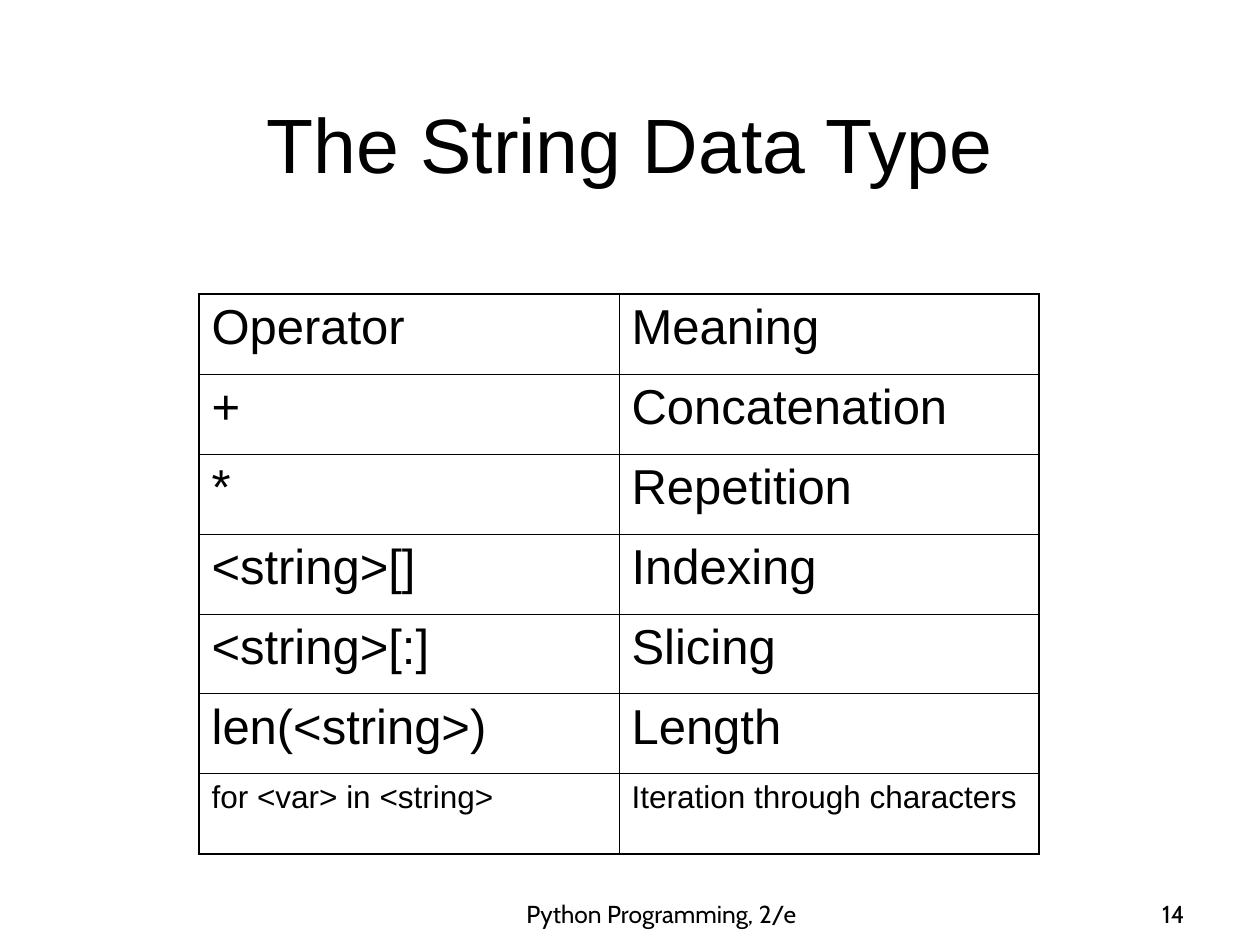
from typing import NamedTuple

from lxml.etree import SubElement
from pptx import Presentation
from pptx.dml.color import RGBColor
from pptx.enum.text import MSO_ANCHOR as Anchor, PP_ALIGN as Align
from pptx.oxml.ns import qn
from pptx.util import Emu, Pt

EMU_PER_PX = 914400 / 126
BLACK = RGBColor(0x00, 0x00, 0x00)
WHITE = RGBColor(0xFF, 0xFF, 0xFF)
OUTER_LINE, INNER_LINE = Pt(1.08), Pt(0.45)

TABLE_LEFT, TABLE_TOP = 199, 294
COLUMN_WIDTH, ROW_HEIGHT = 420, 80


class Label(NamedTuple):
    text: str
    left: int
    top: int
    width: int
    height: int
    size: int
    font: str
    align: Align


class Operator(NamedTuple):
    symbol: str
    meaning: str
    size: int = 28


LABELS = [
    Label("Python Programming, 2/e", 462, 872, 399, 63, 14, "Cabin", Align.CENTER),
    Label("14", 935, 872, 262, 63, 14, "Cabin", Align.RIGHT),
    Label("The String Data Type", 63, 38, 1134, 157, 44, "Arial", Align.CENTER),
]

OPERATORS = [
    Operator("Operator", "Meaning"),
    Operator("+", "Concatenation"),
    Operator("*", "Repetition"),
    Operator("<string>[]", "Indexing"),
    Operator("<string>[:]", "Slicing"),
    Operator("len(<string>)", "Length"),
    Operator("for <var> in <string>", "Iteration through characters", 18),
]


def px(length: int) -> Emu:
    return Emu(round(length * EMU_PER_PX))


def write(frame, text: str, *, size: int, font: str = "Arial",
          align: Align = Align.LEFT, space_before: float = 0) -> None:
    paragraph = frame.paragraphs[0]
    paragraph.alignment = align
    paragraph.space_before = Pt(space_before)
    run = paragraph.add_run()
    run.text = text
    run.font.size = Pt(size)
    run.font.name = font
    run.font.color.rgb = BLACK


def add_label(slide, label: Label) -> None:
    box = slide.shapes.add_textbox(px(label.left), px(label.top),
                                   px(label.width), px(label.height))
    frame = box.text_frame
    frame.word_wrap = True
    frame.vertical_anchor = Anchor.BOTTOM
    write(frame, label.text, size=label.size, font=label.font, align=label.align)


def add_borders(cell, outer_sides: dict[str, bool]) -> None:
    """Draw all four borders, heavier on the sides at the table's edge."""
    properties = cell._tc.get_or_add_tcPr()
    for side, is_outer in outer_sides.items():
        line = SubElement(properties, qn(f"a:ln{side}"),
                          w=str(OUTER_LINE if is_outer else INNER_LINE))
        fill = SubElement(line, qn("a:solidFill"))
        SubElement(fill, qn("a:srgbClr"), val=str(BLACK))


def add_operator_table(slide, operators: list[Operator]) -> None:
    row_count, column_count = len(operators), 2
    table = slide.shapes.add_table(
        row_count, column_count, px(TABLE_LEFT), px(TABLE_TOP),
        px(COLUMN_WIDTH * column_count), px(ROW_HEIGHT * row_count)).table
    table.first_row = table.horz_banding = False
    for column in table.columns:
        column.width = px(COLUMN_WIDTH)
    for r, operator in enumerate(operators):
        table.rows[r].height = px(ROW_HEIGHT)
        for c, text in enumerate((operator.symbol, operator.meaning)):
            cell = table.cell(r, c)
            add_borders(cell, {"L": c == 0, "R": c == column_count - 1,
                               "T": r == 0, "B": r == row_count - 1})
            cell.fill.background()
            write(cell.text_frame, text, size=operator.size,
                  space_before=operator.size / 4)


def main() -> None:
    deck = Presentation()
    deck.slide_width, deck.slide_height = px(1260), px(945)
    slide = deck.slides.add_slide(deck.slide_layouts[6])
    slide.background.fill.solid()
    slide.background.fill.fore_color.rgb = WHITE
    for label in LABELS:
        add_label(slide, label)
    add_operator_table(slide, OPERATORS)
    deck.save("out.pptx")


if __name__ == "__main__":
    main()
